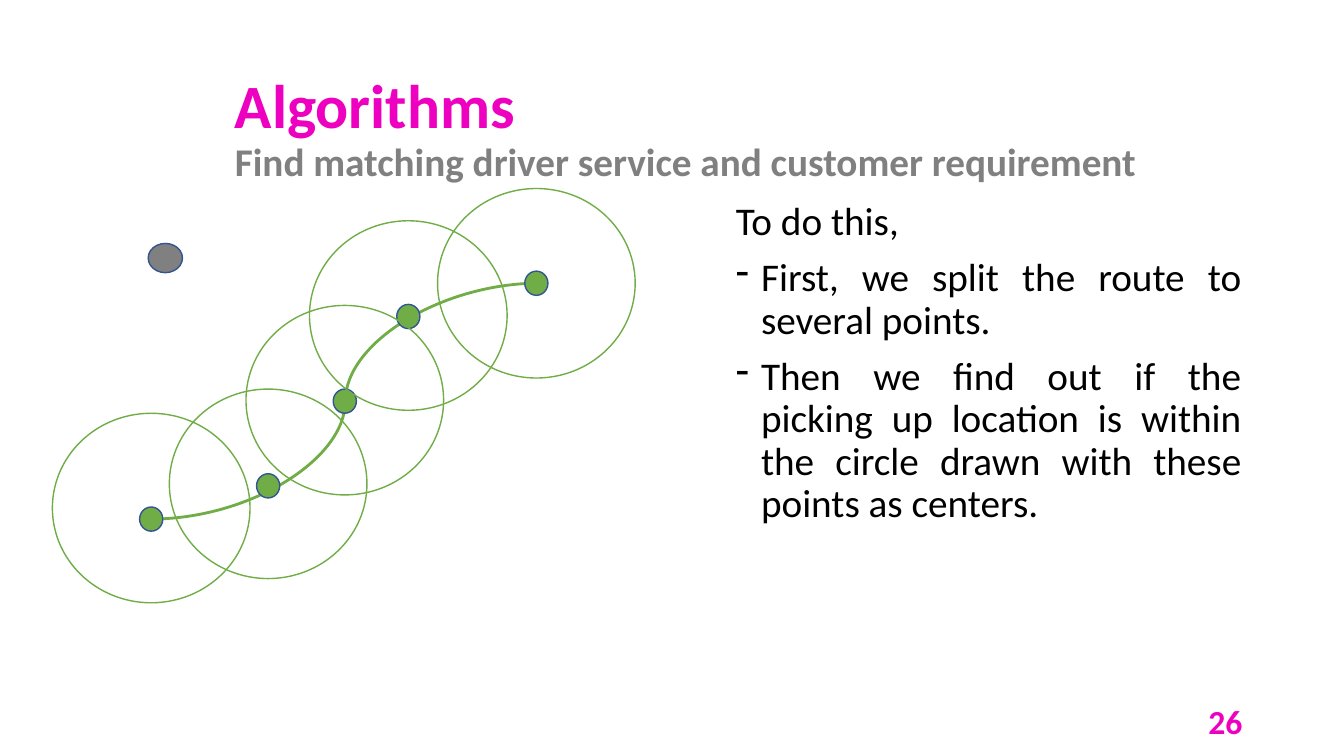
from lxml import etree
from pptx import Presentation
from pptx import util as u
from pptx.dml.color import RGBColor
from pptx.enum import shapes, text
from pptx.oxml import ns

PINK, GREY, GREEN, NAVY, BLACK = "EE00C1", "808080", "70AD47", "325491", "000000"
RADIUS_SIZE, DOT_SIZE, PICKUP_SIZE = (1.96, 1.88), (0.23, 0.24), (0.34, 0.29)
# Route points: x, y of the point and y of its search circle, within the map box
ROUTE = [(0.98, 3.28, 3.17), (2.14, 2.95, 2.93), (2.9, 2.11, 2.1),
         (3.53, 1.27, 1.26), (4.8, 0.94, 0.94)]
STEPS = ["First, we split the route to several points.",
         "Then we find out if the picking up location is within the circle "
         "drawn with these points as centers."]


def color(hex_code):
    return RGBColor.from_string(hex_code)


def apply(target, values):
    for name, value in values.items():
        setattr(target, name, value)


def place(shape, box):
    apply(shape, dict(zip(("left", "top", "width", "height"), map(u.Inches, box))))


def write(paragraph, words, size, hex_code, bold=False):
    run = paragraph.add_run()
    run.text = words
    apply(run.font, {"name": "Calibri", "size": u.Pt(size), "bold": bold})
    run.font.color.rgb = color(hex_code)


def add_frame(slide, box, anchor):
    frame = slide.shapes.add_textbox(*map(u.Inches, box)).text_frame
    apply(frame, {"word_wrap": True, "vertical_anchor": anchor})
    return frame


def add_heading(slide, box):
    title = slide.shapes.title
    place(title, box)
    apply(title.text_frame, {"word_wrap": True, "auto_size": text.MSO_AUTO_SIZE.NONE,
                             "vertical_anchor": text.MSO_ANCHOR.MIDDLE})
    heading = title.text_frame.paragraphs[0]
    apply(heading, {"alignment": text.PP_ALIGN.LEFT, "line_spacing": 0.9})
    write(heading, "Algorithms", 44, PINK, True)
    heading.add_line_break()
    write(heading, "Find matching driver service and customer requirement", 28, GREY, True)


def add_steps(slide, box):
    frame = add_frame(slide, box, text.MSO_ANCHOR.TOP)
    layout = {"alignment": text.PP_ALIGN.JUSTIFY, "line_spacing": 0.9}
    intro = frame.paragraphs[0]
    apply(intro, layout)
    write(intro, "To do this, ", 28, BLACK)
    for words in STEPS:
        step = frame.add_paragraph()
        properties = step._p.get_or_add_pPr()
        properties.set("marL", str(u.Inches(0.25)))
        properties.set("indent", str(-u.Inches(0.25)))
        etree.SubElement(properties, ns.qn("a:buChar")).set("char", "-")
        apply(step, {**layout, "space_before": u.Pt(10)})
        write(step, words, 28, BLACK)


def add_ellipse(slide, center, size, line, fill=None):
    (x, y), (width, height) = center, size
    ellipse = slide.shapes.add_shape(
        shapes.MSO_SHAPE.OVAL,
        *map(u.Inches, (x - width / 2, y - height / 2, width, height)))
    ellipse.shadow.inherit = False
    if fill:
        ellipse.fill.solid()
        ellipse.fill.fore_color.rgb = color(fill)
    else:
        ellipse.fill.background()
    ellipse.line.color.rgb = color(line)
    ellipse.line.width = u.Pt(1)


def add_route_map(slide, left, top):
    # Curved route from the lowest point to the highest
    route = slide.shapes.add_connector(
        shapes.MSO_CONNECTOR.CURVE,
        *map(u.Inches, (left + 0.98, top + 3.28, left + 4.83, top + 0.94)))
    route.line.color.rgb = color(GREEN)
    route.line.width = u.Pt(2)
    etree.SubElement(route._element.spPr, ns.qn("a:effectLst"))
    # Points, then the search circles around them
    for x, y, _ in ROUTE:
        add_ellipse(slide, (left + x, top + y), DOT_SIZE, NAVY, GREEN)
    for x, _, circle_y in ROUTE:
        add_ellipse(slide, (left + x, top + circle_y), RADIUS_SIZE, GREEN)
    # Picking up location
    add_ellipse(slide, (left + 1.12, top + 0.69), PICKUP_SIZE, NAVY, GREY)


def add_page_number(slide, box):
    number = add_frame(slide, box, text.MSO_ANCHOR.MIDDLE).paragraphs[0]
    number.alignment = text.PP_ALIGN.RIGHT
    write(number, "26", 24, PINK, True)


def main():
    deck = Presentation()
    apply(deck, {"slide_width": u.Inches(13.33), "slide_height": u.Inches(7.5)})
    slide = deck.slides.add_slide(deck.slide_layouts[5])
    add_heading(slide, (2.23, 0.74, 9.2, 1.1))
    add_steps(slide, (7.2, 1.95, 5.21, 4.8))
    add_route_map(slide, 0.52, 1.87)
    add_page_number(slide, (9.42, 6.95, 3, 0.4))
    deck.save("out.pptx")


if __name__ == "__main__":
    main()
